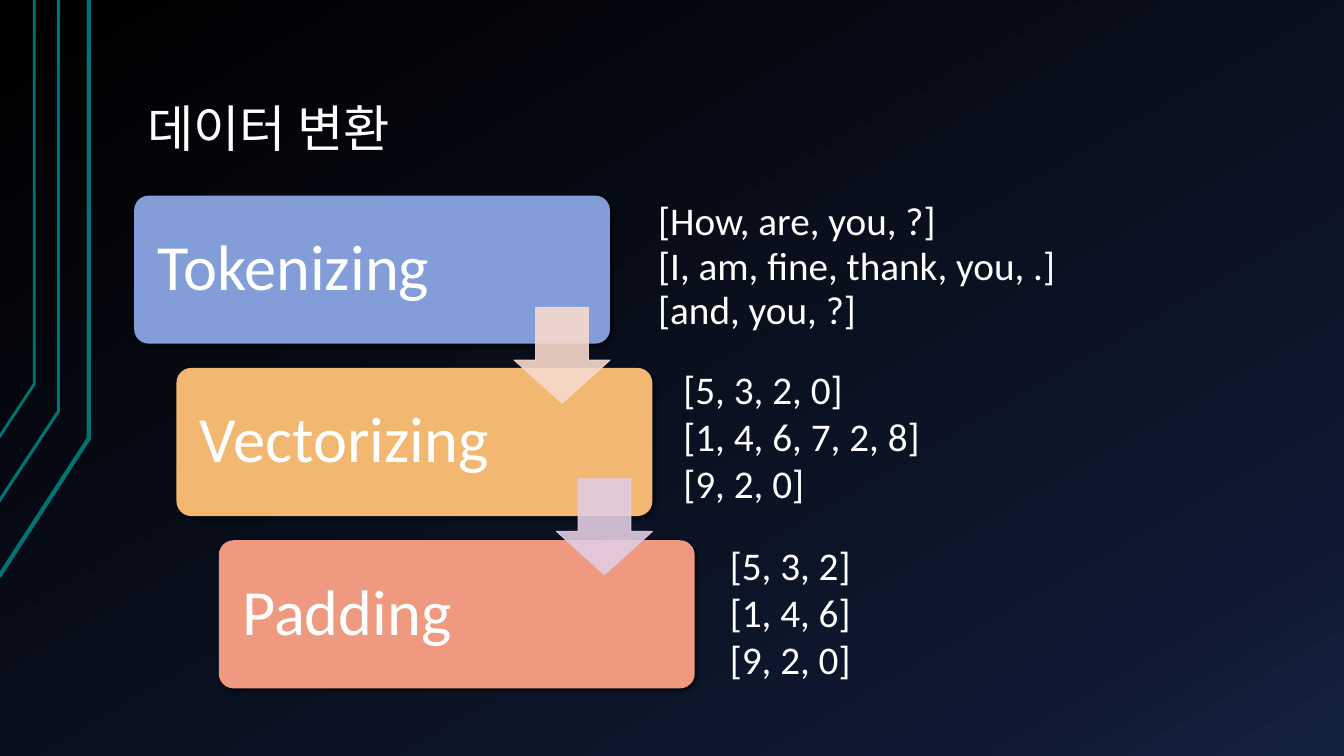
from copy import deepcopy
from dataclasses import dataclass

from lxml.etree import SubElement
from pptx import Presentation
from pptx.dml.color import RGBColor
from pptx.enum.shapes import MSO_SHAPE
from pptx.enum.text import MSO_ANCHOR, MSO_AUTO_SIZE, PP_ALIGN
from pptx.oxml.ns import qn
from pptx.util import Inches, Pt


@dataclass(frozen=True)
class Theme:
    white: str = "FFFFFF"
    black: str = "000000"
    teal: str = "007373"
    back: tuple = ((0, "000000"), (0.85, "0F1931"), (1, "142242"))
    boxes: tuple = ("839DD9", "F2B872", "EF9A80")
    arrows: tuple = ("F7DACC", "E0CCE1")
    font: str = "Calibri"
    korean: str = "Noto Sans CJK KR"
    title: int = 36
    step: int = 46
    body: int = 28


class Deck:
    def __init__(self, theme):
        self.theme = theme
        self.prs = Presentation()
        self.prs.slide_width = Inches(13.33)
        self.prs.slide_height = Inches(7.5)
        self.slide = self.prs.slides.add_slide(self.prs.slide_layouts[6])
        self.shapes = self.slide.shapes

    def backdrop(self):
        fill = self.slide.background.fill
        fill.gradient()
        fill.gradient_angle = 300
        stops = self.slide.element.find(".//" + qn("a:gsLst"))
        stops.append(deepcopy(stops[-1]))
        for stop, (place, color) in zip(fill.gradient_stops, self.theme.back):
            stop.position = place
            stop.color.rgb = RGBColor.from_string(color)

    def trace(self, points, width):
        first, *rest = [(Inches(x), Inches(y)) for x, y in points]
        pen = self.shapes.build_freeform(*first)
        pen.add_line_segments(rest, close=False)
        shape = pen.convert_to_shape()
        shape.shadow.inherit = False
        shape.fill.background()
        shape.line.color.rgb = RGBColor.from_string(self.theme.teal)
        shape.line.width = Pt(width)

    def label(self, frame, text, size, font, space=1.0):
        frame.word_wrap = True
        frame.text = text
        for para in frame.paragraphs:
            para.alignment = PP_ALIGN.LEFT
            para.line_spacing = space
            for run in para.runs:
                run.font.size = Pt(size)
                run.font.name = font
                run.font.color.rgb = RGBColor.from_string(self.theme.white)
                east = SubElement(run.font._element, qn("a:ea"))
                east.set("typeface", font)

    def title(self, text, left, top, width, height):
        box = self.shapes.add_textbox(*map(Inches, (left, top, width, height)))
        frame = box.text_frame
        frame.vertical_anchor = MSO_ANCHOR.BOTTOM
        frame.margin_left = frame.margin_right = Inches(0.13)
        frame.margin_top = frame.margin_bottom = Inches(0.07)
        self.label(frame, text, self.theme.title, self.theme.korean, 0.9)

    def note(self, text, left, top, width, height):
        box = self.shapes.add_textbox(*map(Inches, (left, top, width, height)))
        box.text_frame.auto_size = MSO_AUTO_SIZE.SHAPE_TO_FIT_TEXT
        self.label(box.text_frame, text, self.theme.body, self.theme.font)

    def solid(self, kind, color, adjust, *place):
        shape = self.shapes.add_shape(kind, *map(Inches, place))
        shape.shadow.inherit = False
        for index, value in enumerate(adjust):
            shape.adjustments[index] = value
        shape.fill.solid()
        shape.fill.fore_color.rgb = RGBColor.from_string(color)
        return shape

    def step(self, text, color, *place):
        shape = self.solid(MSO_SHAPE.ROUNDED_RECTANGLE, color, [0.1], *place)
        shape.line.fill.background()
        self.shade(shape)
        frame = shape.text_frame
        frame.vertical_anchor = MSO_ANCHOR.MIDDLE
        frame.margin_left = frame.margin_right = Inches(0.19)
        frame.margin_top = frame.margin_bottom = Inches(0.19)
        self.label(frame, text, self.theme.step, self.theme.font, 0.9)

    def shade(self, shape):
        effects = shape.element.spPr.find(qn("a:effectLst"))
        outer = SubElement(effects, qn("a:outerShdw"), blurRad=str(Pt(3)),
                           dist=str(Pt(2)), dir="2700000", rotWithShape="0")
        color = SubElement(outer, qn("a:srgbClr"), val=self.theme.black)
        SubElement(color, qn("a:alpha"), val="60000")

    def arrow(self, color, *place):
        shape = self.solid(MSO_SHAPE.DOWN_ARROW, color, [0.55, 0.45], *place)
        shape.line.color.rgb = RGBColor.from_string(color)
        shape.line.width = Pt(0.75)
        for tint in shape.element.spPr.iter(qn("a:srgbClr")):
            SubElement(tint, qn("a:alpha"), val="90000")


def main():
    theme = Theme()
    deck = Deck(theme)
    deck.backdrop()
    deck.trace([(-0.01, 5.72), (0.88, 4.35), (0.88, 0)], 3)
    deck.trace([(-0.02, 4.99), (0.58, 4.08), (0.58, 0)], 2.25)
    deck.trace([(-0.01, 4.34), (0.34, 3.81), (0.34, 0)], 2)
    deck.title("데이터 변환", 1.33, 0.3, 11.33, 1.34)

    steps = ("Tokenizing", "Vectorizing", "Padding")
    for i, (name, color) in enumerate(zip(steps, theme.boxes)):
        deck.step(name, color, 1.33 + 0.42 * i, 1.94 + 1.71 * i, 4.72, 1.47)
    for i, color in enumerate(theme.arrows):
        deck.arrow(color, 5.1 + 0.42 * i, 3.05 + 1.7 * i, 0.95, 0.95)

    tokens = ("[How, are, you, ?]", "[I, am, fine, thank, you, .]", "[and, you, ?]")
    for i, text in enumerate(tokens):
        deck.note(text, 6.43, 1.9 + 0.44 * i, 5.75, 0.57)
    deck.note("[5, 3, 2, 0]\n[1, 4, 6, 7, 2, 8]\n[9, 2, 0]", 6.68, 3.57, 4.5, 1.51)
    deck.note("[5, 3, 2]\n[1, 4, 6]\n[9, 2, 0]", 7.14, 5.32, 4.5, 1.51)
    deck.prs.save("out.pptx")


if __name__ == "__main__":
    main()
